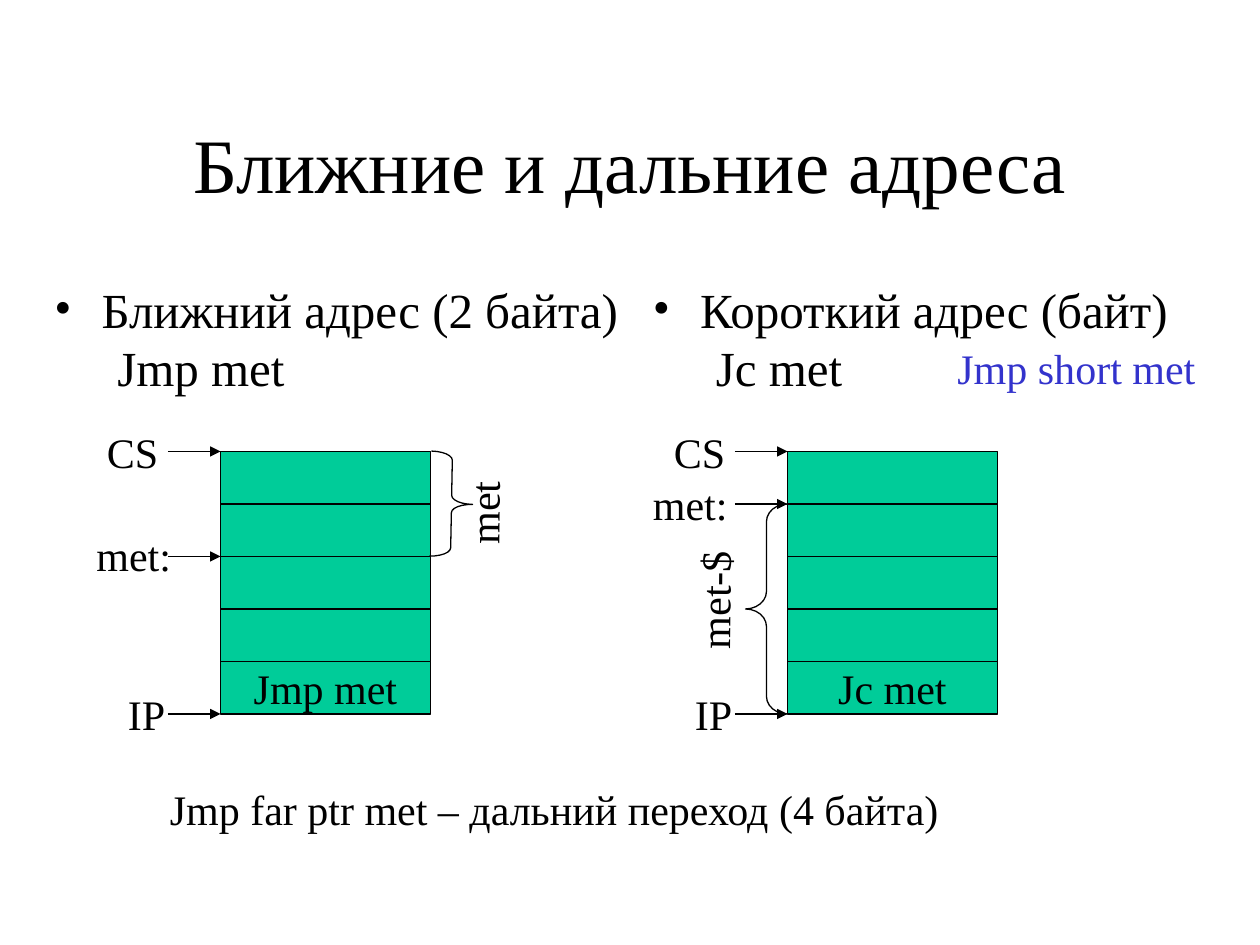
from lxml.etree import SubElement
from pptx import Presentation
from pptx.dml.color import RGBColor
from pptx.enum.shapes import MSO_CONNECTOR, MSO_SHAPE
from pptx.enum.text import MSO_ANCHOR, PP_ALIGN
from pptx.oxml.ns import qn
from pptx.util import Pt

BLACK = RGBColor(0x00, 0x00, 0x00)
GREEN = RGBColor(0x00, 0xCC, 0x99)
BLUE = RGBColor(0x33, 0x33, 0xCC)
FONT = "Times New Roman"
LINE_WIDTH = 0.75

CELL_WIDTH, CELL_HEIGHT, CELL_COUNT = 120, 30, 5
MEMORY_TOP = 258
ARROW_LENGTH = 30
LABEL_HEIGHT = 36

TITLE = ("Ближние и дальние адреса", (54, 48, 612, 90))
NOTES = [
    ("Jmp short met", (540, 192, 156, LABEL_HEIGHT), BLUE),
    ("Jmp far ptr met – дальний переход (4 байта)", (90, 444, 546, LABEL_HEIGHT), BLACK),
]
DIAGRAMS = [
    {
        "heading": ("Короткий адрес (байт)\v\tJc mеt", (366, 156, 336, 324)),
        "left": 450,
        "command": "Jc met",
        "pointers": [("CS", 0, (378, 240, 54)), ("met:", 1, (366, 270, 66)), ("IP", 5, (390, 390, 36))],
        "brace": ((426, 288, 24, 120), 0, 0.417),
        "offset": ("met-$", (366, 318, 84, LABEL_HEIGHT)),
    },
    {
        "heading": ("Ближний адрес (2 байта)\v\tJmp mеt", (24, 156, 354, 324)),
        "left": 126,
        "command": "Jmp met",
        "pointers": [("CS", 0, (54, 240, 54)), ("met:", 2, (48, 299, 60)), ("IP", 5, (66, 390, 36))],
        "brace": ((246, 258, 24, 60), 181.1, 0.208),
        "offset": ("met", (249, 273, 54, LABEL_HEIGHT)),
    },
]

presentation = Presentation()
presentation.slide_width, presentation.slide_height = Pt(720), Pt(540)
slide = presentation.slides.add_slide(presentation.slide_layouts[6])
shapes = slide.shapes


def write(frame, text, size, color=BLACK, align=PP_ALIGN.LEFT):
    frame.text = text
    paragraph = frame.paragraphs[0]
    paragraph.alignment = align
    paragraph.font.size = Pt(size)
    for run in paragraph.runs:
        run.font.name = FONT
        run.font.size = Pt(size)
        run.font.color.rgb = color
    return paragraph


def add_text(text, box, size=24, color=BLACK, align=PP_ALIGN.LEFT):
    label = shapes.add_textbox(*map(Pt, box))
    label.text_frame.word_wrap = True
    write(label.text_frame, text, size, color, align)
    return label


def add_outlined(kind, box):
    outlined = shapes.add_shape(kind, *map(Pt, box))
    outlined.shadow.inherit = False
    outlined.line.color.rgb = BLACK
    outlined.line.width = Pt(LINE_WIDTH)
    return outlined


def add_heading(text, box):
    paragraph = add_text(text, box, 28).text_frame.paragraphs[0]
    properties = paragraph._p.get_or_add_pPr()
    properties.set("marL", str(Pt(27)))
    properties.set("indent", str(-Pt(27)))
    SubElement(properties, qn("a:buFont"), typeface=FONT)
    SubElement(properties, qn("a:buChar"), char="•")


def add_arrow(right, y):
    arrow = shapes.add_connector(
        MSO_CONNECTOR.STRAIGHT, Pt(right - ARROW_LENGTH), Pt(y), Pt(right), Pt(y))
    arrow.line.color.rgb = BLACK
    arrow.line.width = Pt(LINE_WIDTH)
    SubElement(arrow.line._get_or_add_ln(), qn("a:tailEnd"), type="triangle")
    SubElement(arrow._element.spPr, qn("a:effectLst"))


def add_diagram(diagram):
    add_heading(*diagram["heading"])
    left = diagram["left"]
    for row in range(CELL_COUNT):
        cell = add_outlined(
            MSO_SHAPE.RECTANGLE,
            (left, MEMORY_TOP + row * CELL_HEIGHT, CELL_WIDTH, CELL_HEIGHT))
        cell.fill.solid()
        cell.fill.fore_color.rgb = GREEN
    cell.text_frame.word_wrap = False
    cell.text_frame.vertical_anchor = MSO_ANCHOR.MIDDLE
    write(cell.text_frame, diagram["command"], 24, align=PP_ALIGN.CENTER)

    box, rotation, curve = diagram["brace"]
    brace = add_outlined(MSO_SHAPE.LEFT_BRACE, box)
    brace.fill.background()
    brace.rotation = rotation
    brace.adjustments[0] = curve
    add_text(*diagram["offset"]).rotation = 270.6

    for name, row, (x, y, width) in diagram["pointers"]:
        add_text(name, (x, y, width, LABEL_HEIGHT))
        add_arrow(left, MEMORY_TOP + row * CELL_HEIGHT)


title = add_text(*TITLE, size=44, align=PP_ALIGN.CENTER)
title.text_frame.vertical_anchor = MSO_ANCHOR.MIDDLE
for diagram in DIAGRAMS:
    add_diagram(diagram)
for text, box, color in NOTES:
    add_text(text, box, color=color)

presentation.save("out.pptx")
